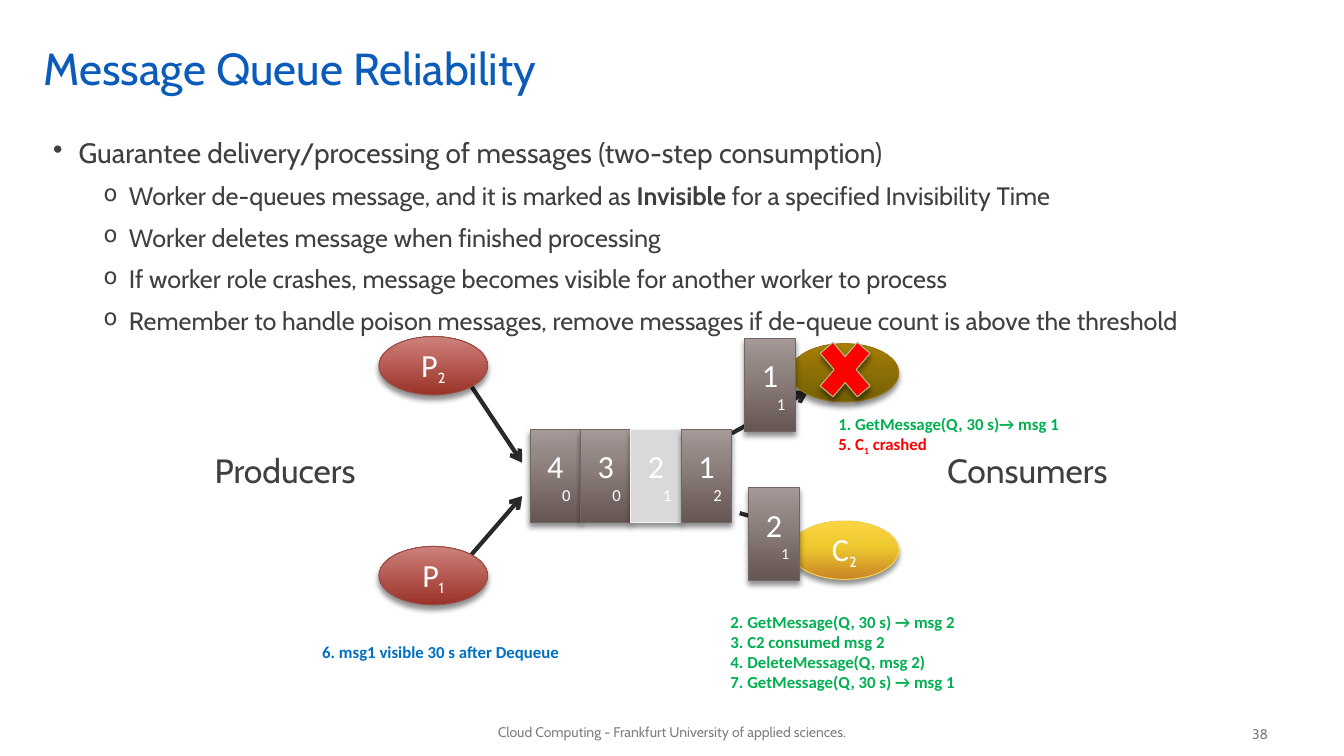
import lxml.etree
import pptx
import pptx.dml.color
import pptx.enum.shapes
import pptx.enum.text
import pptx.oxml.ns
import pptx.util

Cm = pptx.util.Cm
Pt = pptx.util.Pt
RGBColor = pptx.dml.color.RGBColor
Align = pptx.enum.text.PP_ALIGN
Anchor = pptx.enum.text.MSO_ANCHOR
Shape = pptx.enum.shapes.MSO_SHAPE
qn = pptx.oxml.ns.qn

BLUE = RGBColor(0x0A, 0x5B, 0xBA)
DARK = RGBColor(0x3F, 0x3F, 0x3F)
GRAY = RGBColor(0x80, 0x80, 0x80)
ARROW = RGBColor(0x29, 0x29, 0x29)
WHITE = RGBColor(0xFF, 0xFF, 0xFF)
BLACK = RGBColor(0x00, 0x00, 0x00)
GREEN = RGBColor(0x00, 0xB0, 0x50)
RED = RGBColor(0xFF, 0x00, 0x00)
STEP_BLUE = RGBColor(0x00, 0x70, 0xC0)
CROSS_EDGE = RGBColor(0xB1, 0xC2, 0x8D)
INVISIBLE = RGBColor(0xD9, 0xD9, 0xD9)
INVISIBLE_EDGE = RGBColor(0xF2, 0xF2, 0xF2)
MESSAGE_EDGE = RGBColor(0x71, 0x66, 0x63)
PRODUCER_EDGE = RGBColor(0x9A, 0x4B, 0x43)
CONSUMER_EDGE = RGBColor(0xF5, 0xD2, 0x51)
CRASHED_EDGE = RGBColor(0x97, 0x75, 0x15)
MESSAGE_FILL = [(0, RGBColor(0x66, 0x56, 0x53)), (72, RGBColor(0x93, 0x87, 0x84)), (100, RGBColor(0xA5, 0x9A, 0x98))]
PRODUCER_FILL = [(0, RGBColor(0x99, 0x32, 0x27)), (72, RGBColor(0xC1, 0x6B, 0x65)), (100, RGBColor(0xCD, 0x82, 0x7C))]
CONSUMER_FILL = [(0, RGBColor(0xC9, 0x83, 0x25)), (55, RGBColor(0xEC, 0xC8, 0x2E)), (100, RGBColor(0xFB, 0xD4, 0x43))]
CRASHED_FILL = [(0, RGBColor(0x75, 0x60, 0x05)), (55, RGBColor(0x8D, 0x70, 0x05)), (100, RGBColor(0xAA, 0x7F, 0x06))]

POINTS = [
    [("Worker de-queues message, and it is marked as ", False), ("Invisible", True),
     (" for a specified Invisibility Time", False)],
    [("Worker deletes message when finished processing", False)],
    [("If worker role crashes, message becomes visible for another worker to process", False)],
    [("Remember to handle poison messages, remove messages if de-queue count is above the threshold", False)],
]


def add_element(parent, tag, **attributes):
    element = lxml.etree.SubElement(parent, qn(tag))
    for name, value in attributes.items():
        element.set(name, str(value))
    return element


def style_font(font, size, color, name="Cabin", bold=False):
    font.size, font.name, font.bold = Pt(size), name, bold
    font.color.rgb = color


def add_span(para, text, subscript=False):
    span = para.add_run()
    span.text = text
    if subscript:
        span.font._element.set("baseline", "-25000")
    return span


def add_text(page, left, top, width, height, lines, size, color, name="Cabin",
             bold=False, align=Align.LEFT, anchor=Anchor.TOP, wrap=False):
    box = page.shapes.add_textbox(Cm(left), Cm(top), Cm(width), Cm(height))
    frame = box.text_frame
    frame.word_wrap = wrap
    frame.vertical_anchor = anchor
    for index, line in enumerate(lines):
        para = frame.paragraphs[0] if index == 0 else frame.add_paragraph()
        add_span(para, line)
        para.alignment = align
        style_font(para.font, size, color, name, bold)
    return frame


def add_bullet(para, mark, indent, percent, space_before):
    properties = para._p.get_or_add_pPr()
    properties.set("marL", str(Cm(indent)))
    properties.set("indent", str(-Cm(0.64)))
    add_element(properties, "a:buSzPct", val=percent * 1000)
    add_element(properties, "a:buChar", char=mark)
    para.line_spacing = 1.14
    para.space_before = Pt(space_before)


def add_points(page):
    frame = add_text(page, 1.09, 3.18, 31.04, 13.77, [], 20, DARK, wrap=True)
    heading = frame.paragraphs[0]
    add_span(heading, "Guarantee delivery/processing of messages (two-step consumption)")
    add_bullet(heading, "•", 0.64, 100, 0)
    style_font(heading.font, 20, DARK)
    for point in POINTS:
        para = frame.add_paragraph()
        add_bullet(para, "o", 1.91, 90, 5)
        style_font(para.font, 18, DARK)
        for text, bold in point:
            span = add_span(para, text)
            if bold:
                span.font.bold = True


def add_figure(page, kind, left, top, width, height, fill, edge):
    figure = page.shapes.add_shape(kind, Cm(left), Cm(top), Cm(width), Cm(height))
    if isinstance(fill, list):
        gradient = lxml.etree.Element(qn("a:gradFill"))
        stops = add_element(gradient, "a:gsLst")
        for position, color in fill:
            stop = add_element(stops, "a:gs", pos=position * 1000)
            add_element(stop, "a:srgbClr", val=color)
        add_element(gradient, "a:lin", ang=270 * 60000, scaled=0)
        figure._element.spPr.find(qn("a:prstGeom")).addnext(gradient)
    else:
        figure.fill.solid()
        figure.fill.fore_color.rgb = fill
    figure.line.color.rgb = edge
    figure.line.width = Pt(0.75)
    figure.shadow.inherit = False
    effects = figure._element.spPr.find(qn("a:effectLst"))
    shadow = add_element(effects, "a:outerShdw", blurRad=Pt(4), dist=Pt(3), dir=90 * 60000, rotWithShape=0)
    add_element(add_element(shadow, "a:srgbClr", val=BLACK), "a:alpha", val=43000)
    figure.text_frame.vertical_anchor = Anchor.MIDDLE
    return figure


def add_role(page, left, top, letter, number, fill, edge):
    role = add_figure(page, Shape.OVAL, left, top, 2.74, 1.47, fill, edge)
    para = role.text_frame.paragraphs[0]
    para.alignment = Align.CENTER
    style_font(add_span(para, letter).font, 23, WHITE, "Calibri")
    style_font(add_span(para, number, True).font, 18, WHITE)


def add_message(page, left, top, number, count, fill=MESSAGE_FILL, edge=MESSAGE_EDGE, count_size=12):
    message = add_figure(page, Shape.RECTANGLE, left, top, 1.27, 2.34, fill, edge)
    frame = message.text_frame
    for para, text, size, align in (
        (frame.paragraphs[0], number, 23, Align.CENTER),
        (frame.add_paragraph(), count, count_size, Align.RIGHT),
    ):
        add_span(para, text)
        para.alignment = align
        style_font(para.font, size, WHITE, "Calibri")


def add_arrow(page, *ends):
    arrow = page.shapes.add_connector(
        pptx.enum.shapes.MSO_CONNECTOR.STRAIGHT, *[Cm(end) for end in ends])
    arrow.line.color.rgb = ARROW
    arrow.line.width = Pt(3)
    add_element(arrow.line._get_or_add_ln(), "a:tailEnd", type="arrow")
    add_element(arrow._element.spPr, "a:effectLst")


def add_title(page, text):
    title = page.shapes.title
    title.left, title.top, title.width, title.height = Cm(0.84), Cm(0.84), Cm(31.32), Cm(1.9)
    title.text_frame.text = text
    title.text_frame.vertical_anchor = Anchor.MIDDLE
    para = title.text_frame.paragraphs[0]
    para.alignment = Align.LEFT
    para.line_spacing = 0.9
    style_font(para.font, 32, BLUE)


def main():
    deck = pptx.Presentation()
    deck.slide_width, deck.slide_height = Cm(33.87), Cm(19.05)
    page = deck.slides.add_slide(deck.slide_layouts[5])
    add_title(page, "Message Queue Reliability")
    add_points(page)

    for ends in ((18.64, 12.93, 20.14, 13.36), (18.44, 10.92, 20.37, 9.86),
                 (11.89, 9.75, 13.16, 11.66), (11.86, 14, 13.16, 12.5)):
        add_arrow(page, *ends)
    add_role(page, 19.91, 8.66, "C", "1", CRASHED_FILL, CRASHED_EDGE)
    add_role(page, 19.91, 13.13, "C", "2", CONSUMER_FILL, CONSUMER_EDGE)
    for top, number in ((8.48, "2"), (13.77, "1")):
        add_role(page, 9.55, top, "P", number, PRODUCER_FILL, PRODUCER_EDGE)

    queue = (("4", "0"), ("3", "0"), ("2", "1", INVISIBLE, INVISIBLE_EDGE), ("1", "2"))
    for index, message in enumerate(queue):
        add_message(page, 13.36 + 1.27 * index, 10.82, *message)
    add_message(page, 18.77, 8.53, "1", "1")
    add_message(page, 18.87, 12.29, "2", "1", count_size=11)
    add_figure(page, Shape.MATH_MULTIPLY, 20.4, 8.26, 1.8, 2.11, RED, CROSS_EDGE)

    add_text(page, 5.16, 11.2, 4.29, 1.27, ["Producers"], 24, DARK)
    add_text(page, 23.62, 11.2, 4.72, 1.27, ["Consumers"], 24, DARK)
    add_text(page, 18.16, 15.29, 6.25, 2.31,
             ["2. GetMessage(Q, 30 s) → msg 2", "3. C2 consumed msg 2",
              "4. DeleteMessage(Q, msg 2)", "7. GetMessage(Q, 30 s) → msg 1"],
             12, GREEN, "Calibri", True)
    crash = add_text(page, 20.88, 10.29, 6.15, 1.27, ["1. GetMessage(Q, 30 s)→ msg 1"],
                     12, GREEN, "Calibri", True).add_paragraph()
    for text, subscript in (("5. C", False), ("1", True), (" crashed", False)):
        add_span(crash, text, subscript)
    style_font(crash.font, 12, RED, "Calibri", True)
    add_text(page, 7.87, 16.05, 8.05, 0.76, ["6. msg1 visible 30 s after Dequeue"],
             12, STEP_BLUE, "Calibri", True, wrap=True)

    add_text(page, 11.33, 17.93, 11.2, 1.02, ["Cloud Computing - Frankfurt University of applied sciences."],
             10, GRAY, align=Align.CENTER, anchor=Anchor.MIDDLE, wrap=True)
    add_text(page, 24.59, 17.98, 7.62, 1.02, ["38"], 10, GRAY,
             align=Align.RIGHT, anchor=Anchor.MIDDLE, wrap=True)
    deck.save("out.pptx")


if __name__ == "__main__":
    main()
